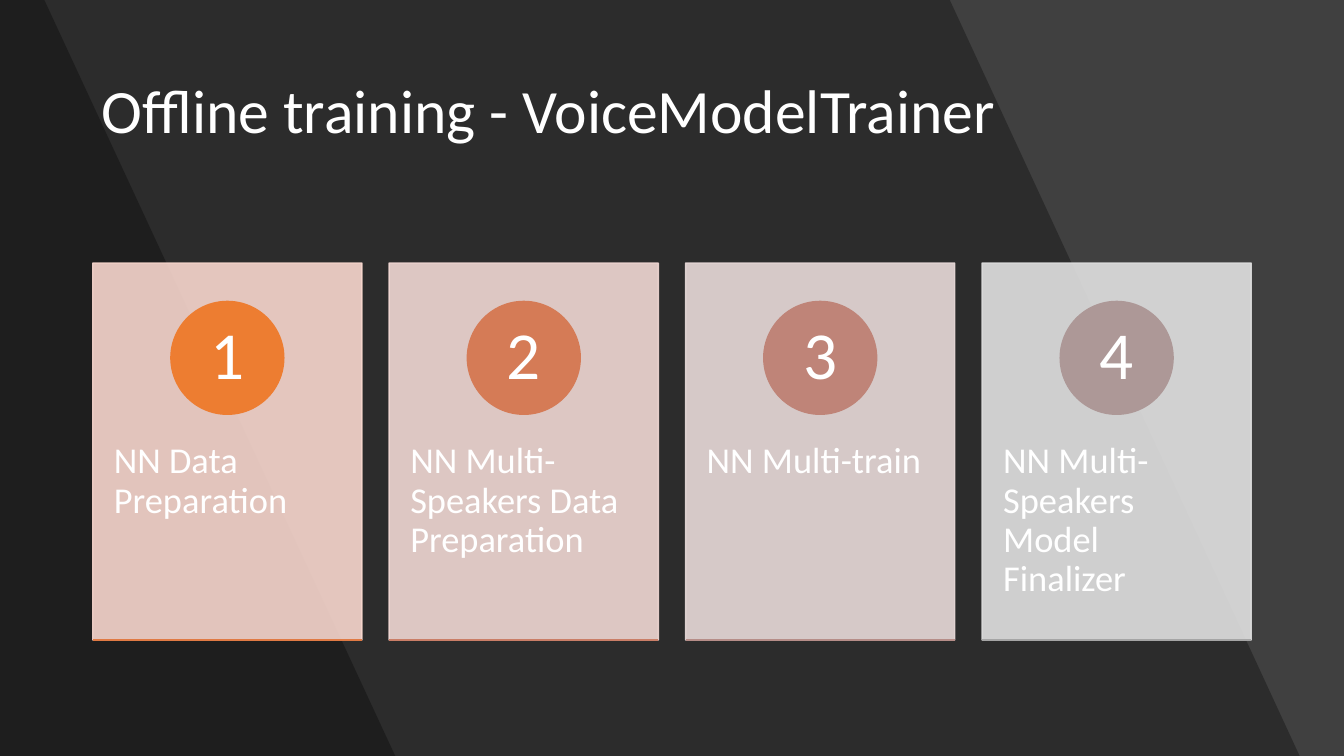
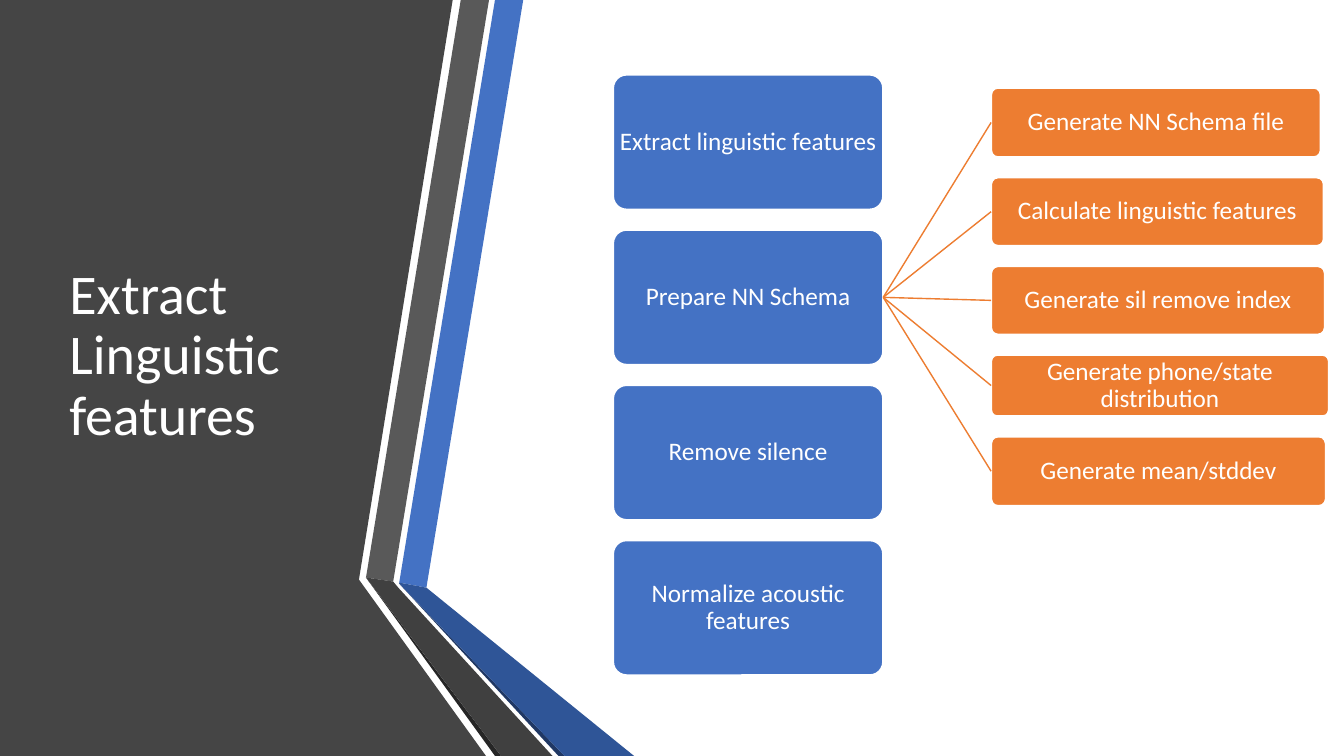
import dataclasses
import typing

import lxml.etree
import pptx
import pptx.dml.color
import pptx.enum.shapes
import pptx.enum.text
import pptx.oxml.ns
import pptx.util

Inches = pptx.util.Inches
Pt = pptx.util.Pt
Preset = pptx.enum.shapes.MSO_SHAPE
Align = pptx.enum.text.PP_ALIGN
Anchor = pptx.enum.text.MSO_ANCHOR
Points = typing.Sequence[tuple[float, float]]


@dataclasses.dataclass(frozen=True)
class Theme:
    font: str = "Calibri"
    white: str = "FFFFFF"
    charcoal: str = "404040"
    shade: str = "000000"
    panel: str = "454545"
    blue: str = "4472C4"
    orange: str = "ED7D31"
    title_size: int = 44
    side_title_size: int = 40
    number_size: int = 48
    card_size: int = 26
    node_size: int = 18
    line_spacing: float = 0.9


@dataclasses.dataclass(frozen=True)
class Area:
    left: float
    top: float
    width: float
    height: float

    def lengths(self) -> list[pptx.util.Length]:
        return [Inches(value) for value in dataclasses.astuple(self)]


@dataclasses.dataclass(frozen=True)
class Outline:
    """A filled polygon, its corners in inches."""
    color: str
    points: Points
    opacity: int = 100


@dataclasses.dataclass(frozen=True)
class Card:
    text: str
    tint: str
    badge: str
    rule: str


@dataclasses.dataclass(frozen=True)
class Substep:
    text: str
    top: float
    width: float
    height: float


THEME = Theme()
PAGE_WIDTH, PAGE_HEIGHT = 13.33, 7.5

SHADES = [
    Outline(THEME.shade, [(0, 0), (9.42, 0), (12.89, 7.5), (0, 7.5)], 30),
    Outline(THEME.shade, [(0, 0), (0.44, 0), (3.92, 7.5), (0, 7.5)], 30),
]
CARDS = [
    Card("NN Data Preparation", "F8D7CE", THEME.orange, "E07A44"),
    Card("NN Multi-Speakers Data Preparation", "F1D8D4", "D57B56", "CA7E67"),
    Card("NN Multi-train", "E9DBDA", "BF8478", "B68D88"),
    Card("NN Multi-Speakers Model Finalizer", "E1E1E1", "AD9897", "A5A5A5"),
]
FOLDED_BANDS = [
    Outline(THEME.panel, [(0, 0), (4.49, 0), (3.56, 5.75), (4.82, 7.5), (0, 7.5)]),
    Outline(THEME.blue, [(3.96, 5.78), (4.23, 5.83), (5.19, 0), (4.91, 0)]),
    Outline("595959", [(4.85, 0), (4.57, 0), (3.63, 5.73), (3.9, 5.77)]),
    Outline("262626", [(3.63, 5.73), (4.91, 7.5), (4.97, 7.5)]),
    Outline("203864", [(3.96, 5.79), (5.54, 7.5), (5.6, 7.5)]),
    Outline("2F5597", [(3.96, 5.79), (5.6, 7.5), (6.29, 7.5), (4.23, 5.83), (3.96, 5.78)]),
    Outline(THEME.charcoal, [(5.48, 7.5), (3.95, 5.83), (3.9, 5.77), (3.63, 5.73), (4.97, 7.5)]),
]
STAGES = [
    "Extract linguistic features",
    "Prepare NN Schema",
    "Remove silence",
    "Normalize acoustic features",
]
BRANCHING_STAGE = 1
SUBSTEPS = [
    Substep("Generate NN Schema file", 0.87, 3.27, 0.69),
    Substep("Calculate linguistic features", 1.76, 3.3, 0.68),
    Substep("Generate sil remove index", 2.64, 3.31, 0.68),
    Substep("Generate phone/state distribution", 3.52, 3.35, 0.61),
    Substep("Generate mean/stddev", 4.33, 3.32, 0.69),
]


def rgb(color: str) -> pptx.dml.color.RGBColor:
    return pptx.dml.color.RGBColor.from_string(color)


def paint(fill, color: str, opacity: int = 100) -> None:
    fill.solid()
    fill.fore_color.rgb = rgb(color)
    if opacity < 100:
        # The colour element is reached through the fill of its shape or line.
        node = fill._xPr.find(".//" + pptx.oxml.ns.qn("a:solidFill"))[0]
        alpha = lxml.etree.SubElement(node, pptx.oxml.ns.qn("a:alpha"))
        alpha.set("val", str(opacity * 1000))


def add_page(deck, background: str):
    page = deck.slides.add_slide(deck.slide_layouts[6])
    paint(page.background.fill, background)
    return page


def add_outline(page, outline: Outline) -> None:
    corners = [(Inches(x), Inches(y)) for x, y in outline.points]
    builder = page.shapes.build_freeform(*corners[0], scale=1.0)
    builder.add_line_segments(corners[1:], close=True)
    shape = builder.convert_to_shape()
    shape.shadow.inherit = False
    paint(shape.fill, outline.color, outline.opacity)
    shape.line.fill.background()


def add_box(page, preset, area: Area, color: str, line_color: str,
            line_width: float = 1, opacity: int = 100):
    box = page.shapes.add_shape(preset, *area.lengths())
    box.shadow.inherit = False
    paint(box.fill, color, opacity)
    paint(box.line.fill, line_color, opacity)
    box.line.width = Pt(line_width)
    return box


def write(box, text: str, size: int, align=Align.CENTER, anchor=Anchor.MIDDLE,
          insets: Points | tuple[float, ...] = (0.01, 0.01, 0.01, 0.01)) -> None:
    """Fill a box with one white paragraph; insets run left, top, right, bottom."""
    frame = box.text_frame
    frame.word_wrap = True
    frame.vertical_anchor = anchor
    (frame.margin_left, frame.margin_top,
     frame.margin_right, frame.margin_bottom) = [Inches(inset) for inset in insets]
    para = frame.paragraphs[0]
    para.alignment = align
    para.line_spacing = THEME.line_spacing
    span = para.add_run()
    span.text = text
    span.font.name = THEME.font
    span.font.size = Pt(size)
    span.font.color.rgb = rgb(THEME.white)


def add_title(page, text: str, area: Area, size: int) -> None:
    box = page.shapes.add_textbox(*area.lengths())
    write(box, text, size, align=Align.LEFT, insets=(0.1, 0.05, 0.1, 0.05))


def add_line(page, color: str, start: tuple[float, float] = (0, 0),
             end: tuple[float, float] = (0, 0)):
    line = page.shapes.add_connector(
        pptx.enum.shapes.MSO_CONNECTOR.STRAIGHT,
        *[Inches(value) for value in (*start, *end)])
    line.line.color.rgb = rgb(color)
    line.line.width = Pt(1)
    lxml.etree.SubElement(line._element.spPr, pptx.oxml.ns.qn("a:effectLst"))
    return line


def add_card(page, number: int, card: Card) -> None:
    width, height, pitch, badge_size = 2.67, 3.74, 2.94, 1.12
    left, top = 0.92 + pitch * (number - 1), 2.61
    panel = add_box(page, Preset.RECTANGLE, Area(left, top, width, height),
                    card.tint, card.tint, opacity=90)
    write(panel, card.text, THEME.card_size, Align.LEFT, Anchor.TOP,
          (0.21, 1.78, 0.21, 0.43))
    badge_area = Area(left + (width - badge_size) / 2, top + 0.38, badge_size, badge_size)
    badge = add_box(page, Preset.OVAL, badge_area, card.badge, card.badge)
    write(badge, str(number), THEME.number_size, insets=(0.09, 0.01, 0.09, 0.01))
    add_line(page, card.rule, (left, top + height), (left + width, top + height))


def add_node(page, text: str, area: Area, color: str):
    node = add_box(page, Preset.ROUNDED_RECTANGLE, area, color, THEME.white, 1.5)
    node.adjustments[0] = 0.1
    write(node, text, THEME.node_size)
    return node


def build_training_page(deck) -> None:
    page = add_page(deck, THEME.charcoal)
    for shade in SHADES:
        add_outline(page, shade)
    add_title(page, "Offline training - VoiceModelTrainer",
              Area(0.91, 0.4, 11.51, 1.45), THEME.title_size)
    for number, card in enumerate(CARDS, start=1):
        add_card(page, number, card)


def build_features_page(deck) -> None:
    page = add_page(deck, THEME.white)
    for band in FOLDED_BANDS:
        add_outline(page, band)
    add_title(page, "Extract Linguistic features",
              Area(0.59, 0.75, 3.04, 5.58), THEME.side_title_size)
    stages = [add_node(page, text, Area(6.08, 0.74 + 1.54 * row, 2.68, 1.34), THEME.blue)
              for row, text in enumerate(STAGES)]
    for substep in SUBSTEPS:
        area = Area(9.83, substep.top, substep.width, substep.height)
        node = add_node(page, substep.text, area, THEME.orange)
        branch = add_line(page, THEME.orange)
        branch.begin_connect(stages[BRANCHING_STAGE], 3)
        branch.end_connect(node, 1)


def main() -> None:
    deck = pptx.Presentation()
    deck.slide_width = Inches(PAGE_WIDTH)
    deck.slide_height = Inches(PAGE_HEIGHT)
    build_training_page(deck)
    build_features_page(deck)
    deck.save("out.pptx")


if __name__ == "__main__":
    main()
